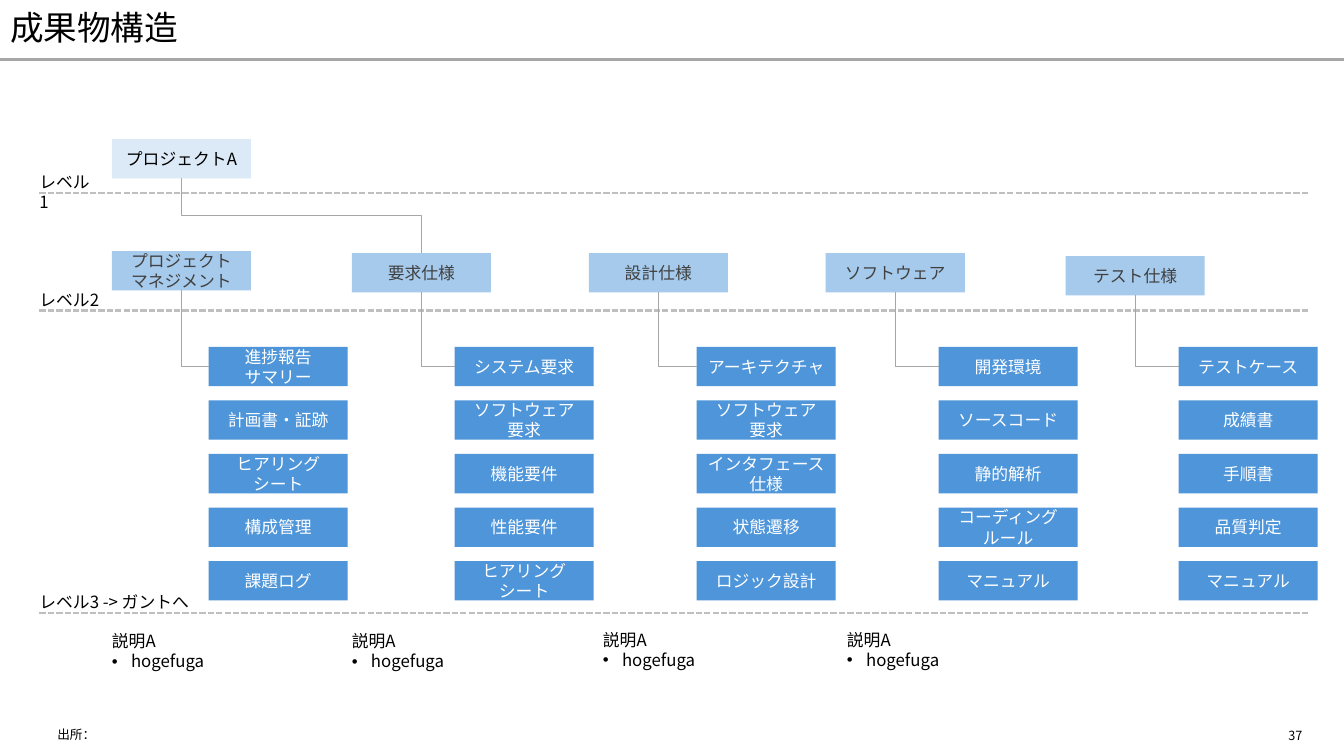
from dataclasses import dataclass

from lxml import etree
from pptx import Presentation
from pptx import util as u
from pptx.dml.color import RGBColor
from pptx.enum import dml, shapes, text
from pptx.oxml.ns import qn

FONT = "Noto Sans CJK JP"
BLACK = RGBColor(0x00, 0x00, 0x00)
WHITE = RGBColor(0xFF, 0xFF, 0xFF)
DARK_GREY = RGBColor(0x40, 0x40, 0x40)
LINK_GREY = RGBColor(0xA6, 0xA6, 0xA6)
RULE_GREY = RGBColor(0xBF, 0xBF, 0xBF)
PALE_BLUE = RGBColor(0xDC, 0xEA, 0xF7)
LIGHT_BLUE = RGBColor(0xA6, 0xCA, 0xEC)
MID_BLUE = RGBColor(0x4E, 0x95, 0xD9)

WIDTH, HEIGHT = u.Inches(13.33), u.Inches(7.5)

# Lengths below are percentages of the slide's width or height.
BOX_WIDTH, BOX_HEIGHT = 10.35, 5.2
ROOT_LEFT, ROOT_TOP = 8.33, 18.4
LEAF_TOP, LEAF_PITCH = 45.87, 7.09
RULE_LEFT, RULE_RIGHT = 2.93, 97.45
LABEL_RISE, LABEL_HEIGHT = 2.8, 2.67
FOOTER_TOP, FOOTER_HEIGHT = 95.6, 3.2
TITLE_HEIGHT = 7.87


@dataclass(frozen=True)
class Style:
    fill: RGBColor
    ink: RGBColor


@dataclass(frozen=True)
class Branch:
    left: float
    top: float
    leaf_left: float
    name: str
    leaves: tuple[str, ...]


@dataclass(frozen=True)
class Level:
    label: str
    rule_top: float
    label_width: float


@dataclass(frozen=True)
class Note:
    left: float
    top: float


ROOT_STYLE = Style(PALE_BLUE, BLACK)
BRANCH_STYLE = Style(LIGHT_BLUE, DARK_GREY)
LEAF_STYLE = Style(MID_BLUE, WHITE)

BRANCHES = (
    Branch(8.33, 33.2, 15.53, "プロジェクト\nマネジメント",
           ("進捗報告\nサマリー", "計画書・証跡", "ヒアリング\nシート", "構成管理", "課題ログ")),
    Branch(26.18, 33.47, 33.83, "要求仕様",
           ("システム要求", "ソフトウェア\n要求", "機能要件", "性能要件", "ヒアリング\nシート")),
    Branch(43.81, 33.47, 51.84, "設計仕様",
           ("アーキテクチャ", "ソフトウェア\n要求", "インタフェース\n仕様", "状態遷移", "ロジック設計")),
    Branch(61.44, 33.47, 69.84, "ソフトウェア",
           ("開発環境", "ソースコード", "静的解析", "コーディング\nルール", "マニュアル")),
    Branch(79.29, 33.87, 87.7, "テスト仕様",
           ("テストケース", "成績書", "手順書", "品質判定", "マニュアル")),
)
LEVELS = (
    Level("レベル1", 25.47, 4.35),
    Level("レベル2", 41.07, 4.58),
    Level("レベル3 -> ガントへ", 81.07, 12.08),
)
NOTES = (Note(8.33, 83.47), Note(26.18, 83.47), Note(44.86, 83.33), Note(63.02, 83.33))


def across(percent: float) -> int:
    return round(WIDTH * percent / 100)


def down(percent: float) -> int:
    return round(HEIGHT * percent / 100)


def area(left: float, top: float, width: float, height: float) -> tuple[int, ...]:
    return across(left), down(top), across(width), down(height)


def add_span(para, words: str, size: float, ink: RGBColor) -> None:
    """Add a run with the same font for Latin and East Asian letters."""
    span = para.add_run()
    span.text = words
    span.font.size = u.Pt(size)
    span.font.color.rgb = ink
    span.font.name = FONT
    properties = span.font._element
    etree.SubElement(properties, qn("a:ea")).set("typeface", FONT)


def write_lines(frame, words: str, size: float, ink: RGBColor, align=text.PP_ALIGN.LEFT) -> None:
    """Write each line of the words as a paragraph."""
    for index, line in enumerate(words.split("\n")):
        para = frame.add_paragraph() if index else frame.paragraphs[0]
        para.alignment = align
        add_span(para, line, size, ink)


def clear_margins(frame) -> None:
    frame.margin_left = frame.margin_right = frame.margin_top = frame.margin_bottom = 0


def add_box(slide, left: float, top: float, words: str, style: Style):
    box = slide.shapes.add_shape(shapes.MSO_SHAPE.RECTANGLE,
                                 *area(left, top, BOX_WIDTH, BOX_HEIGHT))
    box.shadow.inherit = False
    box.fill.solid()
    box.fill.fore_color.rgb = style.fill
    box.line.fill.background()
    frame = box.text_frame
    frame.word_wrap = True
    frame.vertical_anchor = text.MSO_ANCHOR.MIDDLE
    clear_margins(frame)
    write_lines(frame, words, 12, style.ink, text.PP_ALIGN.CENTER)
    return box


def add_text(slide, left: float, top: float, width: float, height: float, words: str, size: float):
    box = slide.shapes.add_textbox(*area(left, top, width, height))
    box.text_frame.word_wrap = True
    write_lines(box.text_frame, words, size, BLACK)
    return box.text_frame


def add_fitted_text(slide, left: float, top: float, width: float, height: float, words: str):
    frame = add_text(slide, left, top, width, height, words, 12)
    clear_margins(frame)
    frame.auto_size = text.MSO_AUTO_SIZE.SHAPE_TO_FIT_TEXT
    return frame


def style_line(line, color: RGBColor, weight: float) -> None:
    line.line.color.rgb = color
    line.line.width = u.Pt(weight)
    etree.SubElement(line._element.spPr, qn("a:effectLst"))


def add_rule(slide, left: float, right: float, top: float, color: RGBColor, weight: float):
    rule = slide.shapes.add_connector(shapes.MSO_CONNECTOR.STRAIGHT,
                                      across(left), down(top), across(right), down(top))
    style_line(rule, color, weight)
    return rule


def add_link(slide, parent, child, to_side: bool) -> None:
    """Join the parent's bottom to the child's left side or its top."""
    start_x, start_y = parent.left + parent.width // 2, parent.top + parent.height
    end_x = child.left if to_side else child.left + child.width // 2
    end_y = child.top + child.height // 2 if to_side else child.top
    link = slide.shapes.add_connector(shapes.MSO_CONNECTOR.ELBOW, start_x, start_y, end_x, end_y)
    link.begin_connect(parent, 2)
    link.end_connect(child, 1 if to_side else 0)
    # The elbow is stored turned by 270 degrees about its centre, so that it leaves downwards.
    run, drop = end_x - start_x, end_y - start_y
    link.left, link.top = (start_x + end_x - drop) // 2, (start_y + end_y - run) // 2
    link.width, link.height = drop, run
    turn = link._element.spPr.find(qn("a:xfrm"))
    turn.set("rot", "16200000")
    turn.set("flipH", "1")
    if to_side:
        link._element.spPr.find(qn("a:prstGeom")).set("prst", "bentConnector2")
    style_line(link, LINK_GREY, 1)


def add_title(slide, words: str) -> None:
    title = slide.shapes.title
    title.left, title.top, title.width, title.height = area(0, 0, 100, TITLE_HEIGHT)
    frame = title.text_frame
    frame.auto_size = text.MSO_AUTO_SIZE.NONE
    frame.vertical_anchor = text.MSO_ANCHOR.MIDDLE
    write_lines(frame, words, 24, BLACK)
    frame.paragraphs[0].line_spacing = 0.9
    add_rule(slide, 0, 100, TITLE_HEIGHT, LINK_GREY, 2.25)


def add_note(slide, note: Note) -> None:
    frame = add_fitted_text(slide, note.left, note.top, 17.55, 5.33, "説明A\nhogefuga")
    properties = frame.paragraphs[1]._p.get_or_add_pPr()
    properties.set("marL", str(u.Inches(0.19)))
    properties.set("indent", str(-u.Inches(0.19)))
    etree.SubElement(properties, qn("a:buFont")).set("typeface", "Arial")
    etree.SubElement(properties, qn("a:buChar")).set("char", "•")


def main() -> None:
    deck = Presentation()
    deck.slide_width, deck.slide_height = WIDTH, HEIGHT
    page = deck.slides.add_slide(deck.slide_layouts[5])
    add_title(page, "成果物構造")
    for level in LEVELS:
        rule = add_rule(page, RULE_LEFT, RULE_RIGHT, level.rule_top, RULE_GREY, 1.5)
        rule.line.dash_style = dml.MSO_LINE.SQUARE_DOT
        add_fitted_text(page, RULE_LEFT, level.rule_top - LABEL_RISE,
                        level.label_width, LABEL_HEIGHT, level.label)
    root = add_box(page, ROOT_LEFT, ROOT_TOP, "プロジェクトA", ROOT_STYLE)
    heads = []
    for branch in BRANCHES:
        head = add_box(page, branch.left, branch.top, branch.name, BRANCH_STYLE)
        leaves = [add_box(page, branch.leaf_left, LEAF_TOP + row * LEAF_PITCH, leaf, LEAF_STYLE)
                  for row, leaf in enumerate(branch.leaves)]
        add_link(page, head, leaves[0], to_side=True)
        heads.append(head)
    add_link(page, root, heads[1], to_side=False)
    for note in NOTES:
        add_note(page, note)
    source = add_text(page, 3.53, FOOTER_TOP, 82.67, FOOTER_HEIGHT, "出所：", 9)
    source.vertical_anchor = text.MSO_ANCHOR.MIDDLE
    add_text(page, 95.12, FOOTER_TOP, 4.43, FOOTER_HEIGHT, "37", 9)
    deck.save("out.pptx")


if __name__ == "__main__":
    main()
